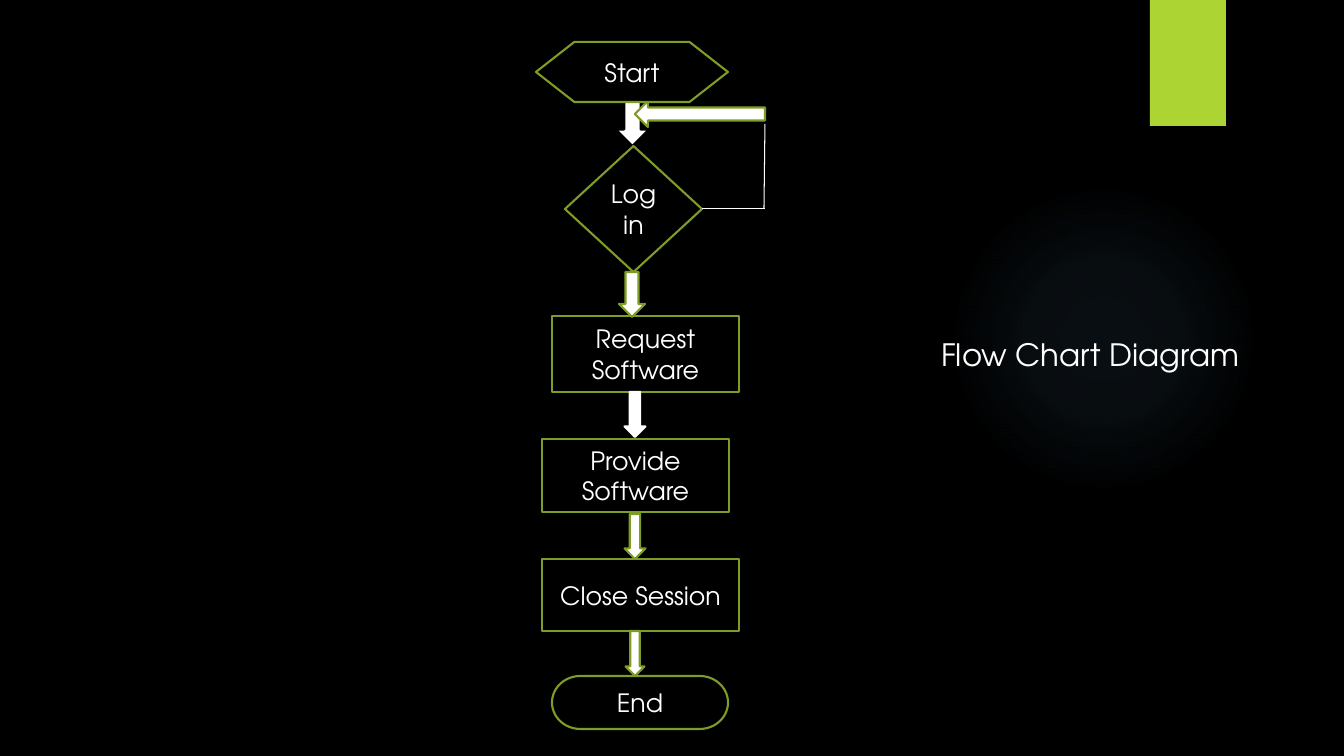
from lxml import etree
from pptx import Presentation
from pptx.dml.color import RGBColor
from pptx.enum.shapes import MSO_CONNECTOR, MSO_SHAPE
from pptx.enum.text import MSO_ANCHOR, MSO_AUTO_SIZE, PP_ALIGN
from pptx.oxml import parse_xml
from pptx.oxml.ns import nsdecls, qn
from pptx.util import Emu, Pt

STRAIGHT = MSO_CONNECTOR.STRAIGHT
OVAL, RECTANGLE = MSO_SHAPE.OVAL, MSO_SHAPE.RECTANGLE
DOWN_ARROW, LEFT_ARROW = MSO_SHAPE.DOWN_ARROW, MSO_SHAPE.LEFT_ARROW
PREPARATION = MSO_SHAPE.FLOWCHART_PREPARATION
DECISION = MSO_SHAPE.FLOWCHART_DECISION
PROCESS = MSO_SHAPE.FLOWCHART_PROCESS
TERMINATOR = MSO_SHAPE.FLOWCHART_TERMINATOR
TOP, MIDDLE = MSO_ANCHOR.TOP, MSO_ANCHOR.MIDDLE
LEFT, CENTER = PP_ALIGN.LEFT, PP_ALIGN.CENTER
GROW = MSO_AUTO_SIZE.SHAPE_TO_FIT_TEXT

WIDTH, HEIGHT = 1344, 756
BLACK, WHITE, OLIVE, LIME, SKY = "000000", "FFFFFF", "7F9D26", "ACD433", "7AC4F0"
RIGHT_SIDE = 3


def px(length):
    return Emu(round(length * 914400 / 100.8))


def color(hex_string):
    return RGBColor.from_string(hex_string)


class FlowSlide:
    font = "TeX Gyre Adventor"

    def __init__(self, deck):
        self.slide = deck.slides.add_slide(deck.slide_layouts[5])
        backdrop = self.slide.background.fill
        backdrop.solid()
        backdrop.fore_color.rgb = color(BLACK)

    def label(self, shape, text, size, align, anchor):
        frame = shape.text_frame
        frame.word_wrap = True
        frame.vertical_anchor = anchor
        paragraph = frame.paragraphs[0]
        paragraph.alignment = align
        run = paragraph.add_run()
        run.text = text
        for name, value in {"name": self.font, "size": Pt(size)}.items():
            setattr(run.font, name, value)
        run.font.color.rgb = color(WHITE)

    def shape(self, kind, box, fill, outline=None):
        shape = self.slide.shapes.add_shape(kind, *map(px, box))
        shape.shadow.inherit = False
        shape.fill.solid()
        shape.fill.fore_color.rgb = color(fill)
        if outline:
            shape.line.color.rgb = color(outline)
            shape.line.width = Pt(1.5)
        else:
            shape.line.fill.background()
        return shape

    def step(self, kind, box, text):
        step = self.shape(kind, box, BLACK, OLIVE)
        self.label(step, text, 18, CENTER, MIDDLE)
        return step

    def glow(self, box, stops):
        """Add a circle that fades outwards; stops are (position, opacity) in percent."""
        halo = self.shape(OVAL, box, SKY)
        gradient = parse_xml(
            f'<a:gradFill {nsdecls("a")} rotWithShape="1"><a:gsLst/><a:path path="circle">'
            '<a:fillToRect l="50000" t="50000" r="50000" b="50000"/></a:path></a:gradFill>')
        for position, opacity in stops:
            stop = etree.SubElement(gradient[0], qn("a:gs"), pos=str(position * 1000))
            tint = etree.SubElement(stop, qn("a:srgbClr"), val=SKY)
            etree.SubElement(tint, qn("a:alpha"), val=str(opacity * 1000))
        properties = halo.element.spPr
        properties.replace(properties.find(qn("a:solidFill")), gradient)

    def line(self, start, end):
        line = self.slide.shapes.add_connector(STRAIGHT, *map(px, start + end))
        line.line.color.rgb = color(WHITE)
        line.line.width = Pt(0.75)
        etree.SubElement(line.element.spPr, qn("a:effectLst"))
        return line

    def title(self, box, text):
        title = self.slide.shapes.title
        for name, value in zip(("left", "top", "width", "height"), box):
            setattr(title, name, px(value))
        self.label(title, text, 22, LEFT, TOP)
        title.text_frame.auto_size = GROW
        title.element.getparent().append(title.element)  # in front of the glow


def main():
    deck = Presentation()
    deck.slide_width, deck.slide_height = px(WIDTH), px(HEIGHT)
    flow = FlowSlide(deck)

    flow.glow((949, 184, 310, 310), [(0, 7), (36, 6), (69, 0)])
    flow.shape(RECTANGLE, (1150, 0, 76, 126), LIME)

    flow.shape(DOWN_ARROW, (616, 101, 33, 45), WHITE, BLACK)
    login = flow.step(DECISION, (565, 146, 137, 126), "Login")
    retry = flow.line((702, 209), (765, 209))
    retry.begin_connect(login, RIGHT_SIDE)
    flow.line((764, 209), (765, 124))
    flow.shape(LEFT_ARROW, (635, 101, 130, 26), WHITE, OLIVE)

    for kind, box, text in [
        (PREPARATION, (536, 42, 192, 60), "Start"),
        (PROCESS, (552, 316, 187, 76), "Request Software"),
        (PROCESS, (542, 439, 187, 73), "Provide Software"),
        (PROCESS, (542, 559, 197, 72), "Close Session"),
        (TERMINATOR, (552, 676, 176, 53), "End"),
    ]:
        flow.step(kind, box, text)

    for center, top, width, outline in [
        (632, 272, 26, OLIVE),
        (635, 392, 21, WHITE),
        (635, 514, 21, OLIVE),
        (635, 631, 19, OLIVE),
    ]:
        flow.shape(DOWN_ARROW, (center - width / 2, top, width, 45), WHITE, outline)

    flow.title((931, 331, 400, 47), "Flow Chart Diagram")
    deck.save("out.pptx")


if __name__ == "__main__":
    main()
